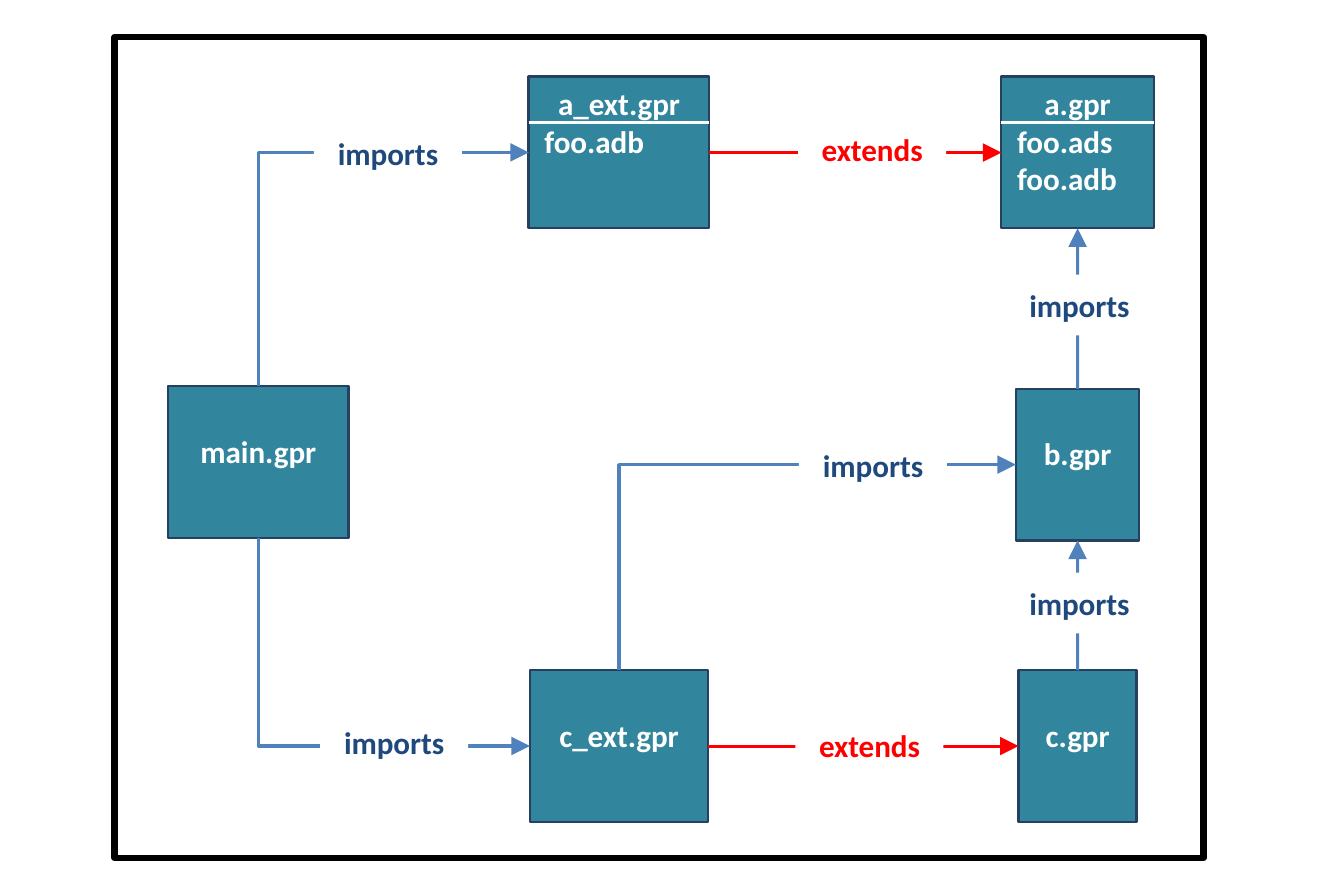
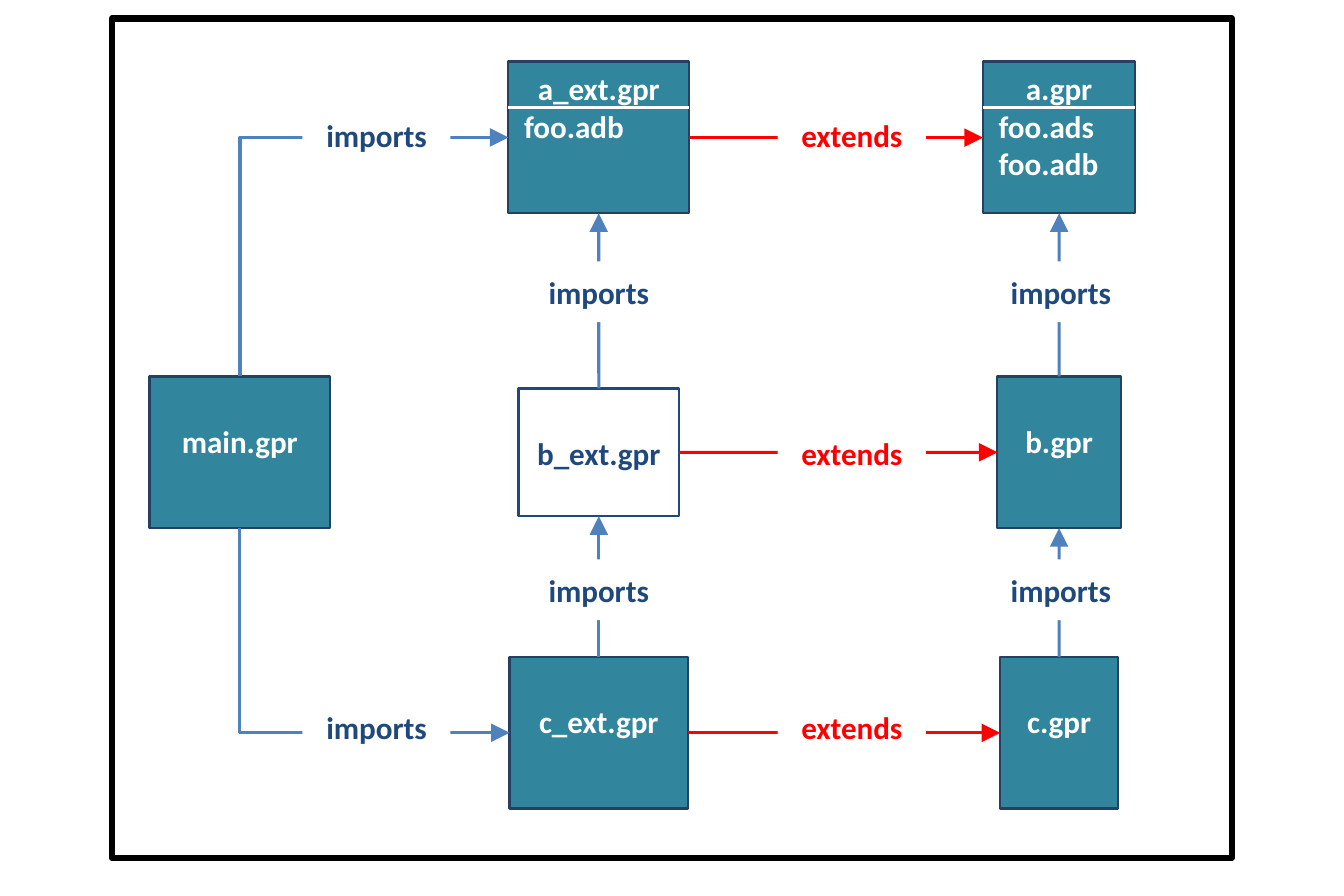
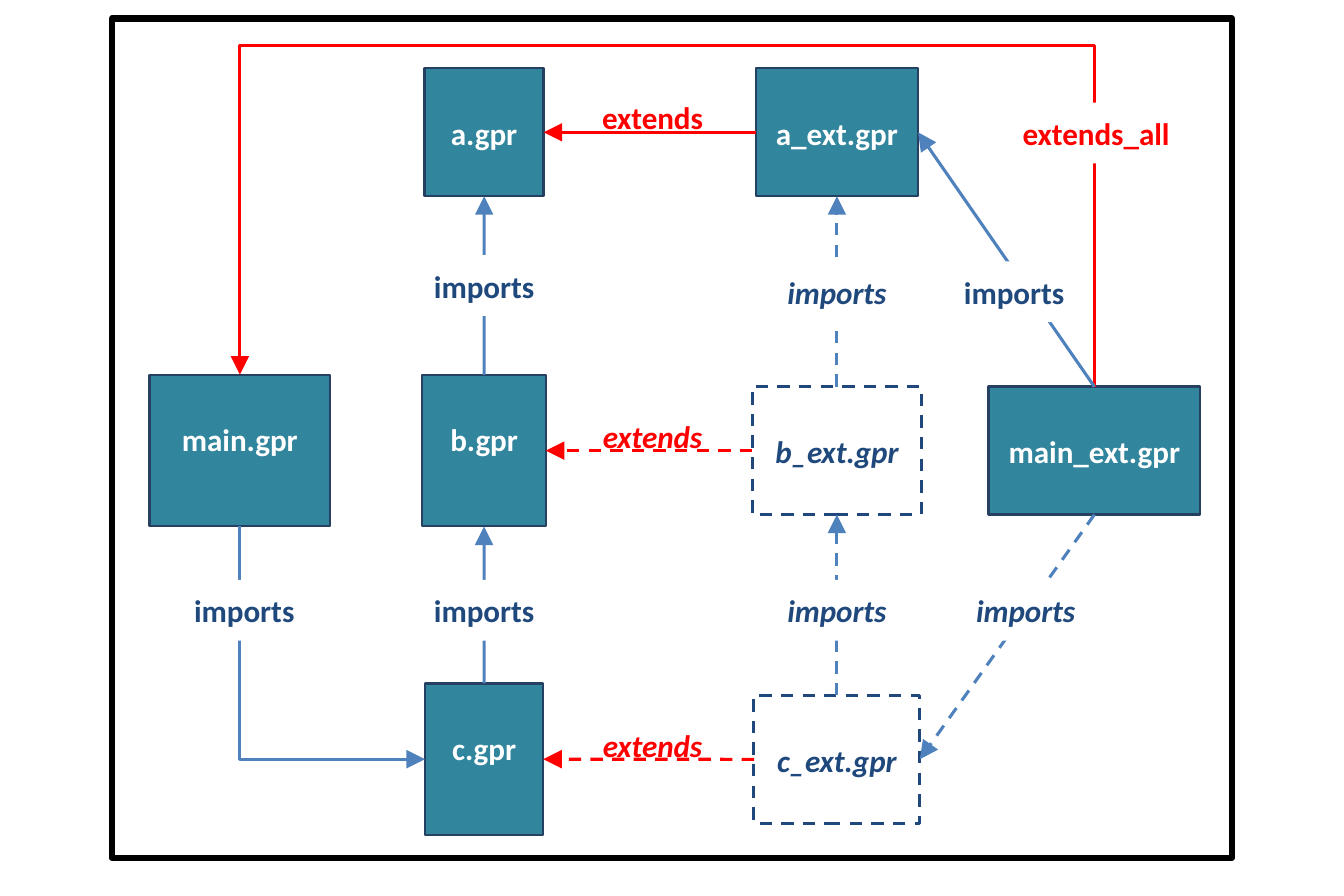
from typing import NamedTuple

from lxml import etree
from pptx import Presentation
from pptx import util as u
from pptx.dml import color
from pptx.enum import dml, shapes, text
from pptx.oxml import ns

# Shared look
TEAL = color.RGBColor(0x31, 0x85, 0x9C)
NAVY = color.RGBColor(0x25, 0x40, 0x61)
BLUE_TEXT = color.RGBColor(0x1F, 0x49, 0x7D)
BLUE_LINE = color.RGBColor(0x4F, 0x81, 0xBD)
RED = color.RGBColor(0xFF, 0x00, 0x00)
WHITE = color.RGBColor(0xFF, 0xFF, 0xFF)
BLACK = color.RGBColor(0x00, 0x00, 0x00)
FONT = {"name": "Calibri", "size": u.Pt(10), "bold": True}
TALL, SHORT = 1.72, 1.45
TEXT_LINE = 0.43
LABEL_HEIGHT = 0.69
LABEL_WIDTHS = {"imports": 1.68, "extends": 1.68, "extends_all": 2.21}
TOP, LEFT, BOTTOM, RIGHT = range(4)

# Fill, outline, outline width, text colour, dashed and italic
NODE_STYLES = {
    "solid": (TEAL, NAVY, 0.75, WHITE, False),
    "outline": (None, BLUE_TEXT, 0.75, BLUE_TEXT, False),
    "dashed": (None, BLUE_TEXT, 1, BLUE_TEXT, True),
}


class Node(NamedTuple):
    """A project box, placed by its centre in centimetres."""
    name: str
    x: float
    y: float
    width: float
    height: float = TALL
    style: str = "solid"
    files: tuple = ()


class Link(NamedTuple):
    """An arrow between two box sides, with the centre of its label."""
    source: str
    source_side: int
    target: str
    target_side: int
    word: str
    x: float
    y: float
    dashed: bool = False
    masked: bool = True


def apply(target, values):
    for name, value in values.items():
        setattr(target, name, value)


def add_box(slide, left, top, width, height, fill=None, line=None, weight=1, dashed=False):
    shape = slide.shapes.add_shape(
        shapes.MSO_SHAPE.RECTANGLE, *map(u.Cm, (left, top, width, height)))
    shape.shadow.inherit = False
    if fill is None:
        shape.fill.background()
    else:
        shape.fill.solid()
        shape.fill.fore_color.rgb = fill
    if line is None:
        shape.line.fill.background()
    else:
        style_line(shape.line, line, weight, dashed)
    return shape


def style_line(line, rgb, weight=1, dashed=False):
    line.color.rgb = rgb
    line.width = u.Pt(weight)
    if dashed:
        line.dash_style = dml.MSO_LINE.DASH


def write(shape, lines, rgb, italic=False, margin_x=0, margin_top=0,
          anchor=text.MSO_ANCHOR.MIDDLE):
    """First line centred, the following lines at the left."""
    frame = shape.text_frame
    apply(frame, {
        "word_wrap": True, "vertical_anchor": anchor,
        "margin_left": u.Cm(margin_x), "margin_right": u.Cm(margin_x),
        "margin_top": u.Cm(margin_top), "margin_bottom": 0,
    })
    for index, line in enumerate(lines):
        paragraph = frame.add_paragraph() if index else frame.paragraphs[0]
        paragraph.alignment = text.PP_ALIGN.LEFT if index else text.PP_ALIGN.CENTER
        run = paragraph.add_run()
        run.text = line
        apply(run.font, {**FONT, "italic": italic})
        run.font.color.rgb = rgb


def add_line(slide, kind, rgb, ends=(0, 0, 0, 0), dashed=False):
    connector = slide.shapes.add_connector(kind, *map(u.Cm, ends))
    style_line(connector.line, rgb, dashed=dashed)
    etree.SubElement(connector._element.spPr, ns.qn("a:effectLst"))
    return connector


def add_node(slide, node):
    fill, line, weight, rgb, dashed = NODE_STYLES[node.style]
    left, top = node.x - node.width / 2, node.y - node.height / 2
    shape = add_box(slide, left, top, node.width, node.height, fill, line, weight, dashed)
    margin_top = 0.09 if node.files else 0.09 + TEXT_LINE
    write(shape, (node.name, *node.files), rgb, dashed, 0.18, margin_top,
          text.MSO_ANCHOR.TOP)
    if node.files:
        divider = top + 0.09 + TEXT_LINE
        add_line(slide, shapes.MSO_CONNECTOR.STRAIGHT, WHITE,
                 (left, divider, left + node.width, divider))
    return shape


def bend(connector, preset, rotation, flip_h, flip_v):
    """Turn an elbow so that it leaves its source vertically."""
    x1, y1 = connector.begin_x, connector.begin_y
    x2, y2 = connector.end_x, connector.end_y
    width, height = abs(y2 - y1), abs(x2 - x1)
    apply(connector, {
        "left": (x1 + x2 - width) // 2, "top": (y1 + y2 - height) // 2,
        "width": width, "height": height,
    })
    properties = connector._element.spPr
    for name, value in (("rot", rotation * 60000), ("flipH", flip_h), ("flipV", flip_v)):
        properties.xfrm.set(name, str(int(value)))
    properties.prstGeom.set("prst", preset)


def bend_over(connector, crossbar):
    """Go up to the crossbar, across, and down to the target."""
    rise = connector.begin_y - u.Cm(crossbar)
    ratio = rise / (connector.begin_y - connector.end_y)
    bend(connector, "bentConnector3", 270, False, True)
    adjustments = connector._element.spPr.prstGeom.find(ns.qn("a:avLst"))
    etree.SubElement(adjustments, ns.qn("a:gd"), name="adj1",
                     fmla=f"val {round(ratio * 100000)}")


def add_link(slide, link, boxes):
    is_import = link.word == "imports"
    over = link.source_side == link.target_side == TOP
    elbow = link.source_side in (TOP, BOTTOM) and link.target_side == LEFT
    kind = shapes.MSO_CONNECTOR.ELBOW if over or elbow else shapes.MSO_CONNECTOR.STRAIGHT
    connector = add_line(slide, kind, BLUE_LINE if is_import else RED, dashed=link.dashed)
    connector.begin_connect(boxes[link.source], link.source_side)
    connector.end_connect(boxes[link.target], link.target_side)
    if over:
        bend_over(connector, 0.52)
    elif elbow:
        upward = link.source_side == TOP
        bend(connector, "bentConnector2", 90 if upward else 270, True, upward)
    etree.SubElement(connector.line._get_or_add_ln(), ns.qn("a:tailEnd"), type="triangle")

    # Label over the arrow
    width = LABEL_WIDTHS[link.word]
    label = add_box(slide, link.x - width / 2, link.y - LABEL_HEIGHT / 2,
                    width, LABEL_HEIGHT, WHITE if link.masked else None)
    write(label, (link.word,), BLUE_TEXT if is_import else RED, link.dashed)


def add_diagram(presentation, frame, nodes, links):
    slide = presentation.slides.add_slide(presentation.slide_layouts[6])
    add_box(slide, *frame, line=BLACK, weight=2)
    boxes = {node.name: add_node(slide, node) for node in nodes}
    for link in links:
        add_link(slide, link, boxes)


def project_nodes(main, ext, base, row_a, row_main, row_b, row_c):
    """The six projects that the first two diagrams have in common."""
    return [
        Node("a.gpr", base, row_a, 1.73, files=("foo.ads", "foo.adb")),
        Node("a_ext.gpr", ext, row_a, 2.05, files=("foo.adb",)),
        Node("b.gpr", base, row_b, 1.4),
        Node("c.gpr", base, row_c, 1.34),
        Node("c_ext.gpr", ext, row_c, 2.02),
        Node("main.gpr", main, row_main, 2.05),
    ]


def main():
    presentation = Presentation()
    presentation.slide_width, presentation.slide_height = u.Cm(15.24), u.Cm(10.16)
    wide_frame = (1.27, 0.21, 12.7, 9.52)

    # Slide 1: extending a and c only
    add_diagram(
        presentation, (1.3, 0.42, 12.35, 9.31),
        project_nodes(2.93, 7.02, 12.22, 1.73, 5.24, 5.27, 8.46),
        [
            Link("a_ext.gpr", RIGHT, "a.gpr", LEFT, "extends", 9.89, 1.69),
            Link("b.gpr", TOP, "a.gpr", BOTTOM, "imports", 12.24, 3.46),
            Link("c.gpr", TOP, "b.gpr", BOTTOM, "imports", 12.24, 6.84),
            Link("c_ext.gpr", RIGHT, "c.gpr", LEFT, "extends", 9.86, 8.45),
            Link("main.gpr", TOP, "a_ext.gpr", LEFT, "imports", 4.4, 1.74),
            Link("main.gpr", BOTTOM, "c_ext.gpr", LEFT, "imports", 4.47, 8.42),
            Link("c_ext.gpr", TOP, "b.gpr", LEFT, "imports", 9.9, 5.27),
        ])

    # Slide 2: b extended as well
    add_diagram(
        presentation, wide_frame,
        project_nodes(2.72, 6.79, 12.01, 1.56, 5.13, 5.13, 8.31)
        + [Node("b_ext.gpr", 6.79, 5.13, 1.82, SHORT, "outline")],
        [
            Link("main.gpr", TOP, "a_ext.gpr", LEFT, "imports", 4.27, 1.53),
            Link("main.gpr", BOTTOM, "c_ext.gpr", LEFT, "imports", 4.27, 8.24),
        ] + [
            Link(f"{name}_ext.gpr", RIGHT, f"{name}.gpr", LEFT, "extends", 9.66, y)
            for name, y in (("a", 1.53), ("b", 5.14), ("c", 8.24))
        ] + [
            Link(f"{lower}{suffix}", TOP, f"{upper}{suffix}", BOTTOM, "imports", x, y)
            for suffix, x in (("_ext.gpr", 6.79), (".gpr", 12.03))
            for lower, upper, y in (("b", "a", 3.31), ("c", "b", 6.69))
        ])

    # Slide 3: the whole tree extended at once
    row_a, row_b, row_c = 1.5, 5.11, 8.61
    base, ext = 5.49, 9.49
    add_diagram(
        presentation, wide_frame,
        [
            Node("a.gpr", base, row_a, 1.35, SHORT),
            Node("b.gpr", base, row_b, 1.4),
            Node("c.gpr", base, row_c, 1.34),
            Node("main.gpr", 2.72, row_b, 2.05),
            Node("a_ext.gpr", ext, row_a, 1.84, SHORT),
            Node("b_ext.gpr", ext, row_b, 1.92, SHORT, "dashed"),
            Node("c_ext.gpr", ext, row_c, 1.88, SHORT, "dashed"),
            Node("main_ext.gpr", 12.41, row_b, 2.4, SHORT),
        ],
        [
            Link("main.gpr", BOTTOM, "c.gpr", LEFT, "imports", 2.77, 6.92),
            Link("main_ext.gpr", TOP, "main.gpr", TOP, "extends_all", 12.43, 1.51),
            Link("main_ext.gpr", TOP, "a_ext.gpr", RIGHT, "imports", 11.5, 3.31),
            Link("main_ext.gpr", BOTTOM, "c_ext.gpr", RIGHT, "imports", 11.63, 6.92, True),
            Link("b.gpr", TOP, "a.gpr", BOTTOM, "imports", base, 3.24),
            Link("c.gpr", TOP, "b.gpr", BOTTOM, "imports", base, 6.92),
            Link("b_ext.gpr", TOP, "a_ext.gpr", BOTTOM, "imports", ext, 3.31, True),
            Link("c_ext.gpr", TOP, "b_ext.gpr", BOTTOM, "imports", ext, 6.92, True),
        ] + [
            Link(f"{name}_ext.gpr", LEFT, f"{name}.gpr", RIGHT, "extends", 7.4, y,
                 dashed=name != "a", masked=False)
            for name, y in (("a", 1.33), ("b", 4.94), ("c", 8.45))
        ])

    presentation.save("out.pptx")


if __name__ == "__main__":
    main()
